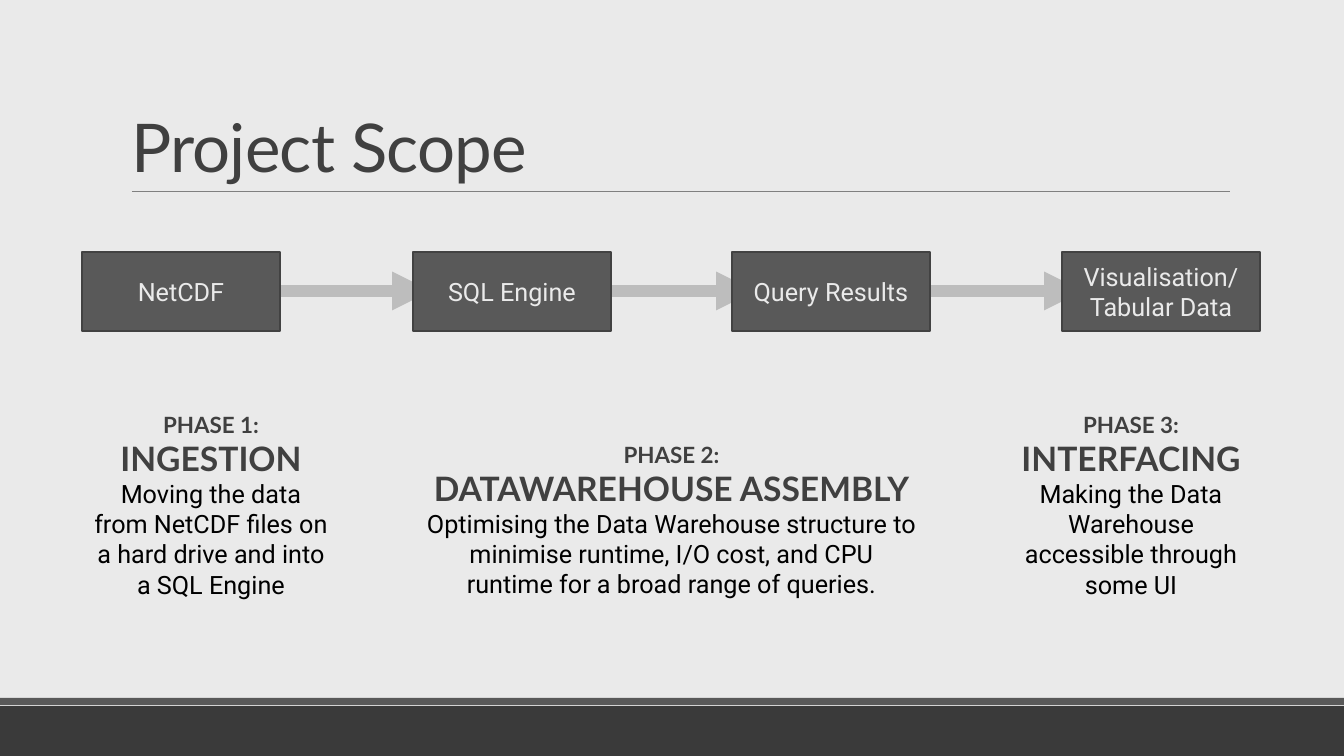
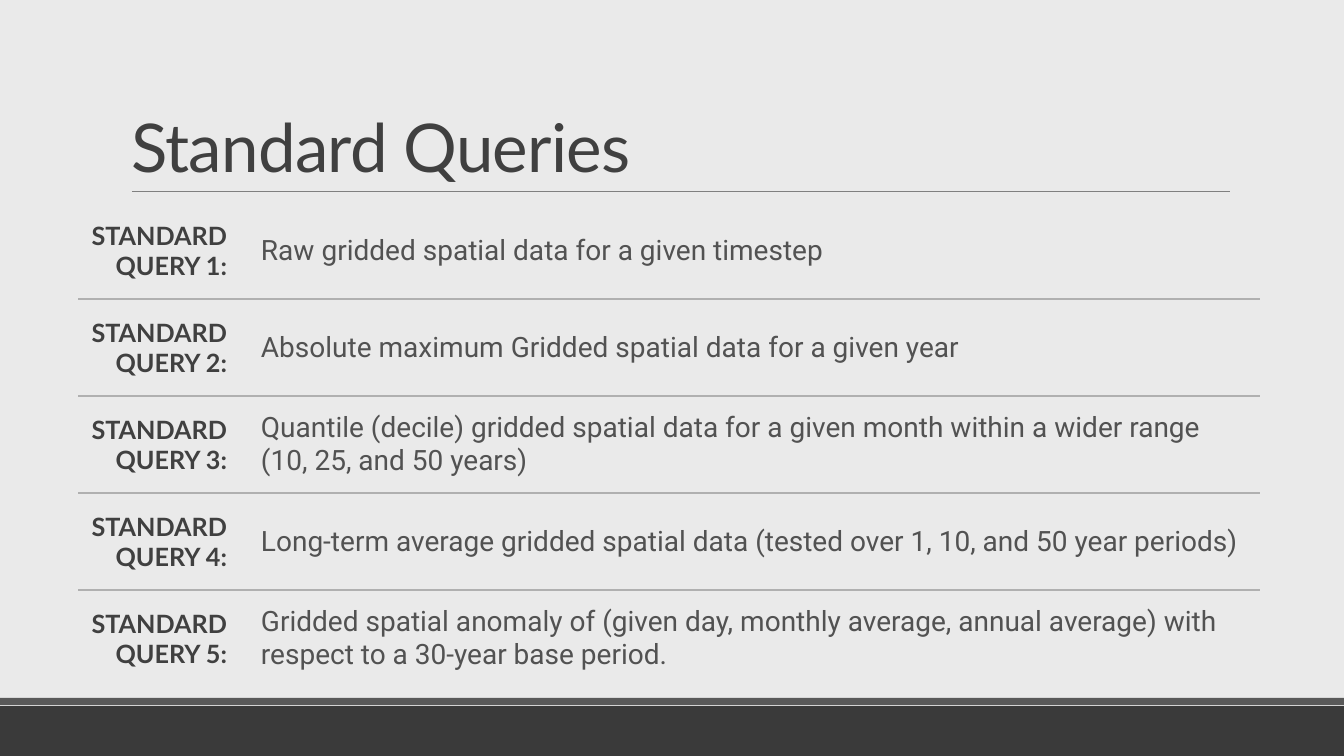
from lxml import etree
from pptx import Presentation
from pptx.dml.color import RGBColor
from pptx.enum.shapes import MSO_CONNECTOR, MSO_SHAPE
from pptx.enum.text import MSO_ANCHOR, MSO_AUTO_SIZE, PP_ALIGN
from pptx.oxml import parse_xml
from pptx.oxml.ns import nsdecls, qn
from pptx.util import Pt

PX = 914400 / 100.8
RECTANGLE = MSO_SHAPE.RECTANGLE
STRAIGHT = MSO_CONNECTOR.STRAIGHT
CENTER, RIGHT, LEFT = PP_ALIGN.CENTER, PP_ALIGN.RIGHT, PP_ALIGN.LEFT
BOTTOM, MIDDLE = MSO_ANCHOR.BOTTOM, MSO_ANCHOR.MIDDLE
NO_FIT, GROW = MSO_AUTO_SIZE.NONE, MSO_AUTO_SIZE.SHAPE_TO_FIT_TEXT

PAPER = RGBColor(0xEA, 0xEA, 0xEA)
FOOTER = RGBColor(0x3A, 0x3A, 0x3A)
SLATE = RGBColor(0x59, 0x59, 0x59)
OUTLINE = RGBColor(0x42, 0x42, 0x42)
HEADING = RGBColor(0x40, 0x40, 0x40)
BODY = RGBColor(0x52, 0x52, 0x52)
BLACK = RGBColor(0x00, 0x00, 0x00)
TITLE_RULE = RGBColor(0x80, 0x80, 0x80)
ROW_RULE = RGBColor(0xB0, 0xB0, 0xB0)
ARROW = RGBColor(0xBD, 0xBD, 0xBD)
HEADING_FONT, BODY_FONT = "Lato", "Roboto"


def px(*lengths):
    """Turn pixel lengths into a list of EMU."""
    return [round(length * PX) for length in lengths]


def format_text(paragraph, size, font, color, bold=False, align=LEFT):
    paragraph.alignment = align
    for run in paragraph.runs:
        run.font.size = Pt(size)
        run.font.name = font
        run.font.color.rgb = color
        run.font.bold = bold


prs = Presentation()
prs.slide_width, prs.slide_height = px(1344, 756)

# Shared look: background and title place on the layout
layout = prs.slide_layouts[5]
layout.background.fill.solid()
layout.background.fill.fore_color.rgb = PAPER
title_place, *unused_places = layout.placeholders
for place in unused_places:
    layout.shapes.element.remove(place.element)
title_place.left, title_place.top, title_place.width, title_place.height = px(121, 31, 1109, 160)

slides = []
for title_text in ["Project Scope", "Standard Queries"]:
    slide = prs.slides.add_slide(layout)
    title = slide.shapes.title.text_frame
    title.text = title_text
    title.vertical_anchor = BOTTOM
    title.auto_size = NO_FIT
    heading = title.paragraphs[0]
    heading.line_spacing = 0.85
    format_text(heading, 48, HEADING_FONT, HEADING)
    heading.runs[0].font._element.set("spc", "-50")
    slides.append(slide)
scope, queries = slides

# Bands and title rule are drawn once, then moved to the layout
for top, height, color in [(706, 50, FOOTER), (698, 7, SLATE)]:
    band = scope.shapes.add_shape(RECTANGLE, *px(0, top, 1344, height))
    band.shadow.inherit = False
    band.fill.solid()
    band.fill.fore_color.rgb = color
    band.line.fill.background()
    layout.shapes.element.append(band.element)
title_rule = scope.shapes.add_connector(STRAIGHT, *px(132, 191, 1230, 191))
title_rule.line.color.rgb = TITLE_RULE
title_rule.line.width = Pt(0.5)
etree.SubElement(title_rule.element.spPr, qn("a:effectLst"))
layout.shapes.element.append(title_rule.element)

# Project Scope: arrows behind the pipeline stages
for start in [279, 603, 931]:
    arrow = scope.shapes.add_connector(STRAIGHT, *px(start, 291, start + 152, 291))
    arrow.line.color.rgb = ARROW
    arrow.line.width = Pt(9.25)
    etree.SubElement(arrow.line._get_or_add_ln(), qn("a:tailEnd"), type="triangle")
    etree.SubElement(arrow.element.spPr, qn("a:effectLst"))

STAGES = [
    (82, "NetCDF"),
    (413, "SQL Engine"),
    (732, "Query Results"),
    (1062, "Visualisation/\vTabular Data"),
]
for left, label in STAGES:
    stage = scope.shapes.add_shape(RECTANGLE, *px(left, 252, 198, 79))
    stage.shadow.inherit = False
    stage.fill.solid()
    stage.fill.fore_color.rgb = SLATE
    stage.line.color.rgb = OUTLINE
    stage.line.width = Pt(1.25)
    stage.text_frame.text = label
    stage.text_frame.vertical_anchor = MIDDLE
    format_text(stage.text_frame.paragraphs[0], 18, BODY_FONT, PAPER, align=CENTER)

PHASES = [
    ((82, 406, 258, 234), "PHASE 1:", "INGESTION",
     "Moving the data from NetCDF files on a hard drive and into a SQL Engine"),
    ((414, 436, 515, 169), "PHASE 2:", "DATAWAREHOUSE ASSEMBLY",
     "Optimising the Data Warehouse structure to minimise runtime, I/O cost, "
     "and CPU runtime for a broad range of queries."),
    ((1002, 406, 258, 201), "PHASE 3:", "INTERFACING",
     "Making the Data Warehouse accessible through some UI"),
]
for bounds, *lines in PHASES:
    phase = scope.shapes.add_textbox(*px(*bounds)).text_frame
    phase.word_wrap = True
    phase.auto_size = GROW
    phase.text = "\n".join(lines)
    number, name, description = phase.paragraphs
    format_text(number, 16, HEADING_FONT, HEADING, True, CENTER)
    format_text(name, 24, HEADING_FONT, HEADING, True, CENTER)
    format_text(description, 18, BODY_FONT, BLACK, align=CENTER)

# Standard Queries: one table row for each query
QUERIES = [
    "Raw gridded spatial data for a given timestep",
    "Absolute maximum Gridded spatial data for a given year",
    "Quantile (decile) gridded spatial data for a given month within a wider range "
    "(10, 25, and 50 years)",
    "Long-term average gridded spatial data (tested over 1, 10, and 50 year periods)",
    "Gridded spatial anomaly of (given day, monthly average, annual average) with "
    "respect to a 30-year base period.",
]
ROW_HEIGHT = 97
row_count = len(QUERIES)
query_table = queries.shapes.add_table(
    row_count, 2, *px(79, 202, 1180, ROW_HEIGHT * row_count)).table
query_table.first_row = query_table.horz_banding = False
query_table.columns[0].width, query_table.columns[1].width = px(155, 1025)

for index, query in enumerate(QUERIES):
    label_cell, query_cell = query_table.rows[index].cells
    label_cell.text = f"STANDARD QUERY {index + 1}:"
    query_cell.text = query
    format_text(label_cell.text_frame.paragraphs[0], 18, HEADING_FONT, HEADING, True, RIGHT)
    query_line = query_cell.text_frame.paragraphs[0]
    format_text(query_line, 20, BODY_FONT, BODY)
    query_line._p.get_or_add_pPr().set("marL", str(px(20)[0]))

    borders = {
        "lnL": PAPER,
        "lnR": PAPER,
        "lnT": PAPER if index == 0 else ROW_RULE,
        "lnB": PAPER if index == row_count - 1 else ROW_RULE,
    }
    for cell in (label_cell, query_cell):
        cell.vertical_anchor = MIDDLE
        cell.margin_left, cell.margin_top, cell.margin_right, cell.margin_bottom = px(7, 0, 7, 0)
        cell.fill.background()
        for position, (side, color) in enumerate(borders.items()):
            cell._tc.get_or_add_tcPr().insert(position, parse_xml(
                f'<a:{side} {nsdecls("a")} w="{Pt(1)}"><a:solidFill>'
                f'<a:srgbClr val="{color}"/></a:solidFill></a:{side}>'))

prs.save("out.pptx")
